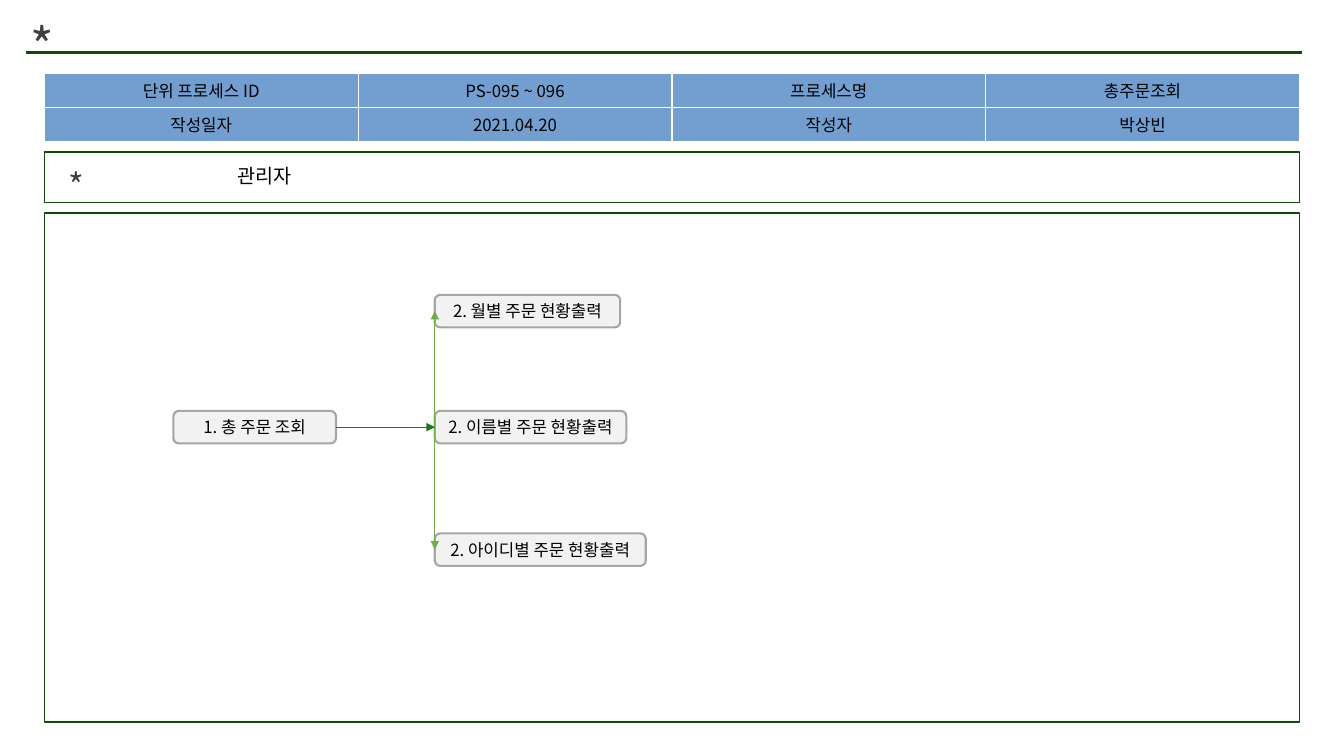
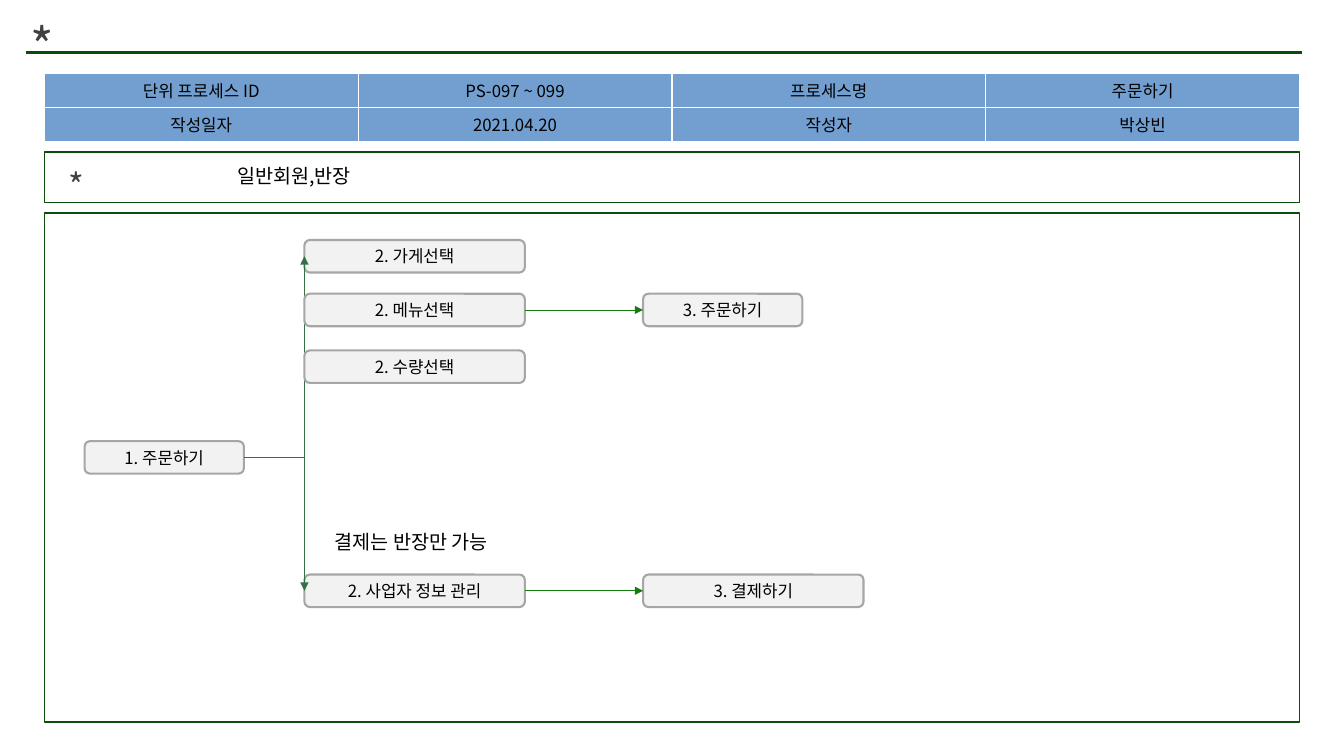
from lxml import etree
from pptx import Presentation
from pptx.dml.color import RGBColor
from pptx.enum.shapes import MSO_CONNECTOR, MSO_SHAPE
from pptx.enum.text import MSO_ANCHOR, PP_ALIGN
from pptx.oxml.ns import qn
from pptx.util import Inches, Pt

STRAIGHT, ELBOW = MSO_CONNECTOR.STRAIGHT, MSO_CONNECTOR.ELBOW
RECTANGLE, ROUNDED = MSO_SHAPE.RECTANGLE, MSO_SHAPE.ROUNDED_RECTANGLE
TOP, MIDDLE = MSO_ANCHOR.TOP, MSO_ANCHOR.MIDDLE
LEFT, CENTER = PP_ALIGN.LEFT, PP_ALIGN.CENTER
SIDE_LEFT, SIDE_RIGHT = 1, 3

FONT = "Noto Sans CJK KR"
BLACK = RGBColor(0x00, 0x00, 0x00)
CHARCOAL = RGBColor(0x40, 0x40, 0x40)
FRAME_GREEN = RGBColor(0x0C, 0x4B, 0x09)
ARROW_GREEN = RGBColor(0x14, 0x7B, 0x0F)
LIGHT_GREEN = RGBColor(0x70, 0xAD, 0x47)
MOSS_GREEN = RGBColor(0x36, 0x6E, 0x45)
TABLE_BLUE = RGBColor(0x72, 0x9F, 0xCF)
STEP_FILL = RGBColor(0xF2, 0xF2, 0xF2)
STEP_LINE = RGBColor(0xA6, 0xA6, 0xA6)

# The grid has 100 columns and 100 rows
MARGIN, CONTENT = 3.3, 93.4
TABLE_ROW = 4.55
STEP_HEIGHT = 4.3


class ProcessDeck:
    """Holds the deck, its style and the current page."""

    def __init__(self):
        self.deck = Presentation()
        self.deck.slide_width = Inches(13.33)
        self.deck.slide_height = Inches(7.5)
        self.page = None

    def col(self, columns):
        return round(self.deck.slide_width * columns / 100)

    def row(self, rows):
        return round(self.deck.slide_height * rows / 100)

    def area(self, x, y, width, height):
        return self.col(x), self.row(y), self.col(width), self.row(height)

    def set_text(self, frame, text, size, color=BLACK, align=LEFT, anchor=TOP):
        frame.text = text
        frame.word_wrap = True
        frame.vertical_anchor = anchor
        para = frame.paragraphs[0]
        para.alignment = align
        for span in para.runs:
            font = span.font
            font.name, font.size, font.color.rgb = FONT, Pt(size), color
            east_asian = etree.SubElement(span._r.get_or_add_rPr(), qn("a:ea"))
            east_asian.set("typeface", FONT)

    def label(self, text, x, y, width, height, size, color=BLACK):
        box = self.page.shapes.add_textbox(*self.area(x, y, width, height))
        self.set_text(box.text_frame, text, size, color)

    def panel(self, y, height):
        box = self.page.shapes.add_shape(
            RECTANGLE, *self.area(MARGIN, y, CONTENT, height))
        box.shadow.inherit = False
        box.fill.background()
        box.line.color.rgb, box.line.width = FRAME_GREEN, Pt(1)

    def step(self, text, x, middle, width):
        box = self.page.shapes.add_shape(
            ROUNDED, *self.area(x, middle - STEP_HEIGHT / 2, width, STEP_HEIGHT))
        box.shadow.inherit = False
        box.fill.solid()
        box.fill.fore_color.rgb = STEP_FILL
        box.line.color.rgb, box.line.width = STEP_LINE, Pt(1.5)
        frame = box.text_frame
        frame.margin_left = frame.margin_right = Inches(0.04)
        frame.margin_top = frame.margin_bottom = Inches(0.04)
        self.set_text(frame, text, 12, align=CENTER, anchor=MIDDLE)
        return box

    def connector(self, kind, start, end, color, width, arrow=True):
        line = self.page.shapes.add_connector(kind, *start, *end)
        line.line.color.rgb, line.line.width = color, Pt(width)
        if arrow:
            head = etree.SubElement(line.line._get_or_add_ln(), qn("a:tailEnd"))
            head.set("type", "triangle")
        etree.SubElement(line._element.spPr, qn("a:effectLst"))
        return line

    def ends(self, source, target):
        """Middle of the source's right side and of the target's left side."""
        return ((source.left + source.width, source.top + source.height // 2),
                (target.left, target.top + target.height // 2))

    def arrow(self, source, target):
        line = self.connector(
            STRAIGHT, *self.ends(source, target), ARROW_GREEN, 0.5)
        line.begin_connect(source, SIDE_RIGHT)
        line.end_connect(target, SIDE_LEFT)

    def branch(self, source, target, color):
        """Run across from the source, then turn once up or down."""
        line = self.connector(ELBOW, *self.ends(source, target), color, 0.5)
        geometry = line._element.spPr.find(qn("a:prstGeom"))
        geometry.set("prst", "bentConnector2")

    def table(self, rows):
        grid = self.page.shapes.add_table(
            len(rows), len(rows[0]),
            *self.area(MARGIN, 9.65, CONTENT, TABLE_ROW * len(rows))).table
        for r, values in enumerate(rows):
            for c, value in enumerate(values):
                cell = grid.cell(r, c)
                cell.fill.solid()
                cell.fill.fore_color.rgb = TABLE_BLUE
                self.set_text(cell.text_frame, value, 12, align=CENTER)

    def new_page(self, process_id, process_name, actor):
        """Add a page with the title rule, process table and both panels."""
        self.page = self.deck.slides.add_slide(self.deck.slide_layouts[6])
        rule = self.row(6.9)
        self.connector(STRAIGHT, (self.col(1.9), rule), (self.col(96.9), rule),
                       FRAME_GREEN, 2.25, arrow=False)
        self.label("*", 1.5, 1.33, 3.9, 10.4, 36, CHARCOAL)
        self.table([
            ("단위 프로세스 ID", process_id, "프로세스명", process_name),
            ("작성일자", "2021.04.20", "작성자", "박상빈"),
        ])
        self.label("*", 4.35, 21.2, 3.9, 7.3, 24, CHARCOAL)
        self.panel(20.1, 6.7)
        self.label(actor, 16.9, 21.05, 32.4, 5.1, 14)
        self.panel(28.2, 67.3)


def order_overview(show):
    show.new_page("PS-095 ~ 096", "총주문조회", "관리자")
    start = show.step("1. 총 주문 조회", 12.9, 56.5, 12.1)
    by_month, by_name, by_account = [
        show.step(text, 32.35, middle, width) for text, middle, width in (
            ("2. 월별 주문 현황출력", 41.15, 13.8),
            ("2. 이름별 주문 현황출력", 56.5, 14.25),
            ("2. 아이디별 주문 현황출력", 72.7, 15.7))]
    for target in (by_account, by_month):
        show.branch(start, target, LIGHT_GREEN)
    show.arrow(start, by_name)


def order_placement(show):
    show.new_page("PS-097 ~ 099", "주문하기", "일반회원,반장")
    choice_x, choice_width, result_x, short_width = 22.65, 16.4, 47.85, 11.85
    start = show.step("1. 주문하기", 6.3, 60.5, short_width)
    shop = show.step("2. 가게선택", choice_x, 33.9, choice_width)
    business = show.step("2. 사업자 정보 관리", choice_x, 78.15, choice_width)
    for target in (shop, business):
        show.branch(start, target, MOSS_GREEN)

    # These choices cover the upward branch
    menu = show.step("2. 메뉴선택", choice_x, 41, choice_width)
    show.step("2. 수량선택", choice_x, 48.5, choice_width)

    # Results of the choices
    order = show.step("3. 주문하기", result_x, 41, short_width)
    payment = show.step("3. 결제하기", result_x, 78.15, choice_width)
    show.arrow(menu, order)
    show.arrow(business, payment)
    show.label("결제는 반장만 가능", 24.15, 69.5, 14.9, 4.5, 14)


def main():
    show = ProcessDeck()
    order_overview(show)
    order_placement(show)
    show.deck.save("out.pptx")


if __name__ == "__main__":
    main()
